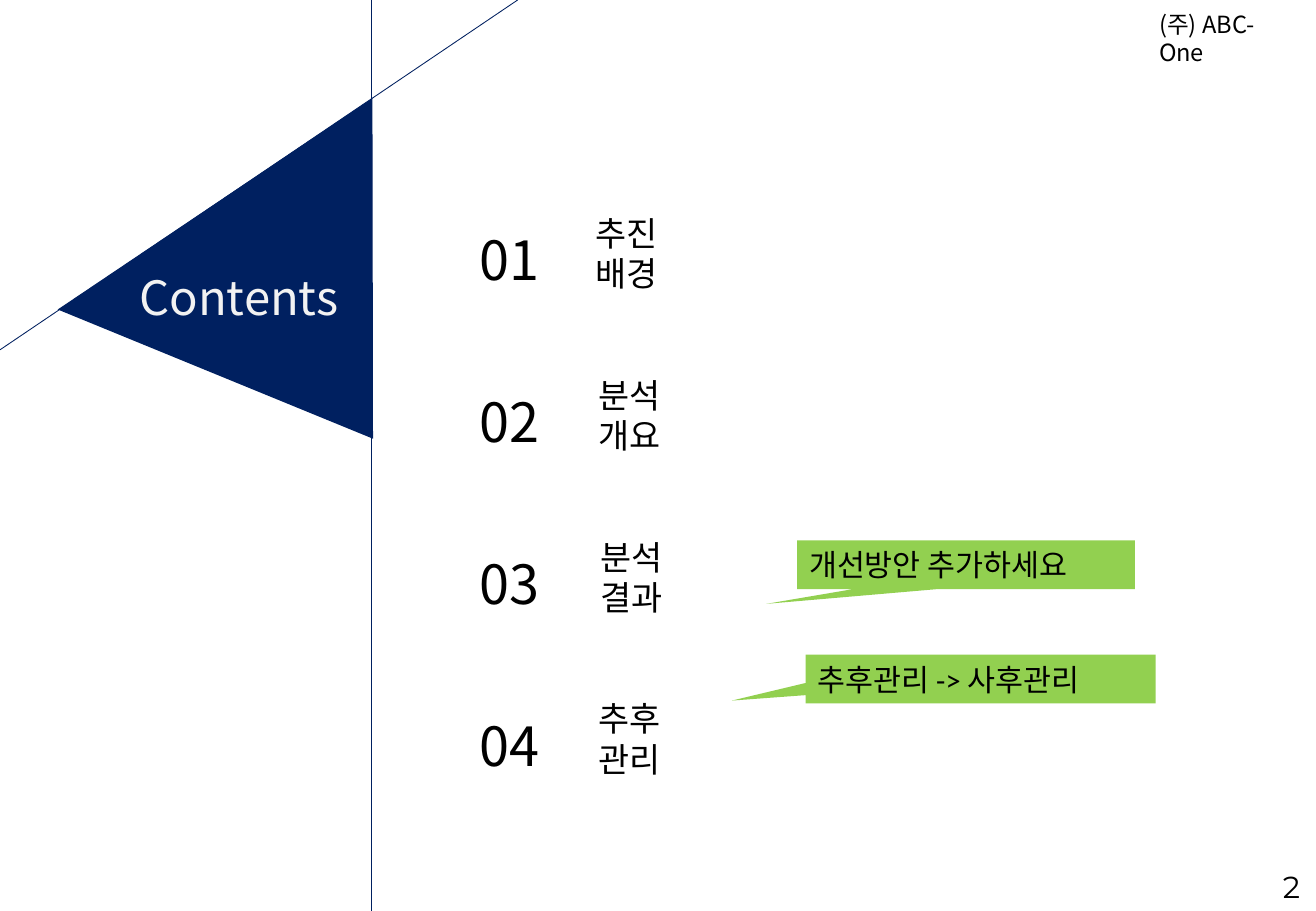
from lxml import etree
from pptx import Presentation
from pptx import util as u
from pptx.dml.color import RGBColor
from pptx.enum import shapes, text
from pptx.oxml.ns import qn

COLORS = {"navy": "002060", "green": "92D050", "black": "000000", "light": "F2F2F2"}
SANS = "Noto Sans CJK KR"
CHAPTERS = [("추진 배경", 4.8), ("분석 개요", 4.83), ("분석 결과", 4.84), ("추후 관리", 4.83)]
CHAPTER_TOP, CHAPTER_STEP = 1.7, 1.333
CALLOUTS = [
    ("추후관리 -> 사후관리", (6.63, 5.39, 2.88, 0.4), (-0.711, 0.445)),
    ("개선방안 추가하세요", (6.56, 4.45, 2.78, 0.4), (-0.591, 0.805)),
]
GUIDES = [(3.06, 0, 3.06, 7.5), (4.26, 0, 0, 2.88)]


def inches(values):
    return [u.Inches(value) for value in values]


def write(shape, lines, size, font=SANS, color="black", spacing=None):
    frame = shape.text_frame
    frame.word_wrap = True
    frame.text = "\n".join(lines)
    for paragraph in frame.paragraphs:
        paragraph.alignment = text.PP_ALIGN.LEFT
        if spacing:
            paragraph.line_spacing = spacing
        for run in paragraph.runs:
            run.font.size = u.Pt(size)
            run.font.name = font
            run.font.color.rgb = RGBColor.from_string(COLORS[color])
            east_asian = etree.SubElement(run.font._element, qn("a:ea"))
            east_asian.set("typeface", font)


def add_text(slide, box, lines, size, **style):
    write(slide.shapes.add_textbox(*inches(box)), lines, size, **style)


def add_filled(slide, kind, box, color):
    shape = slide.shapes.add_shape(kind, *inches(box))
    shape.shadow.inherit = False
    shape.fill.solid()
    shape.fill.fore_color.rgb = RGBColor.from_string(COLORS[color])
    shape.line.fill.background()
    return shape


def add_guide(slide, ends):
    line = slide.shapes.add_connector(shapes.MSO_CONNECTOR.STRAIGHT, *inches(ends))
    line.line.color.rgb = RGBColor.from_string(COLORS["navy"])
    line.line.width = u.Pt(0.5)
    etree.SubElement(line._element.spPr, qn("a:effectLst"))


def main():
    """Build the contents slide."""
    presentation = Presentation()
    presentation.slide_width, presentation.slide_height = inches((10.83, 7.5))
    slide = presentation.slides.add_slide(presentation.slide_layouts[6])
    preset = shapes.MSO_SHAPE

    triangle = add_filled(slide, preset.ISOSCELES_TRIANGLE, (0.86, 1.48, 3.12, 2.33), "navy")
    triangle.rotation = 146.1
    add_text(slide, (1.05, 2.16, 2.02, 0.57), ["Contents"], 28, color="light")
    for ends in GUIDES:
        add_guide(slide, ends)

    numbers = [f"{index:02d}" for index in range(1, len(CHAPTERS) + 1)]
    add_text(slide, (3.85, 1.02, 0.76, 5.27), numbers, 32, spacing=2.5)
    for row, (title, left) in enumerate(CHAPTERS):
        add_text(slide, (left, CHAPTER_TOP + row * CHAPTER_STEP, 1.24, 0.44), [title], 20)

    add_text(slide, (9.44, 0.03, 1.2, 0.34), ["(주) ABC-One"], 14)
    add_text(slide, (10.46, 7.1, 0.37, 0.4), ["2"], 18, font="Montserrat")

    for message, box, tip in CALLOUTS:
        callout = add_filled(slide, preset.RECTANGULAR_CALLOUT, box, "green")
        callout.adjustments[0], callout.adjustments[1] = tip
        write(callout, [message], 18, font="Calibri")

    presentation.save("out.pptx")


if __name__ == "__main__":
    main()
